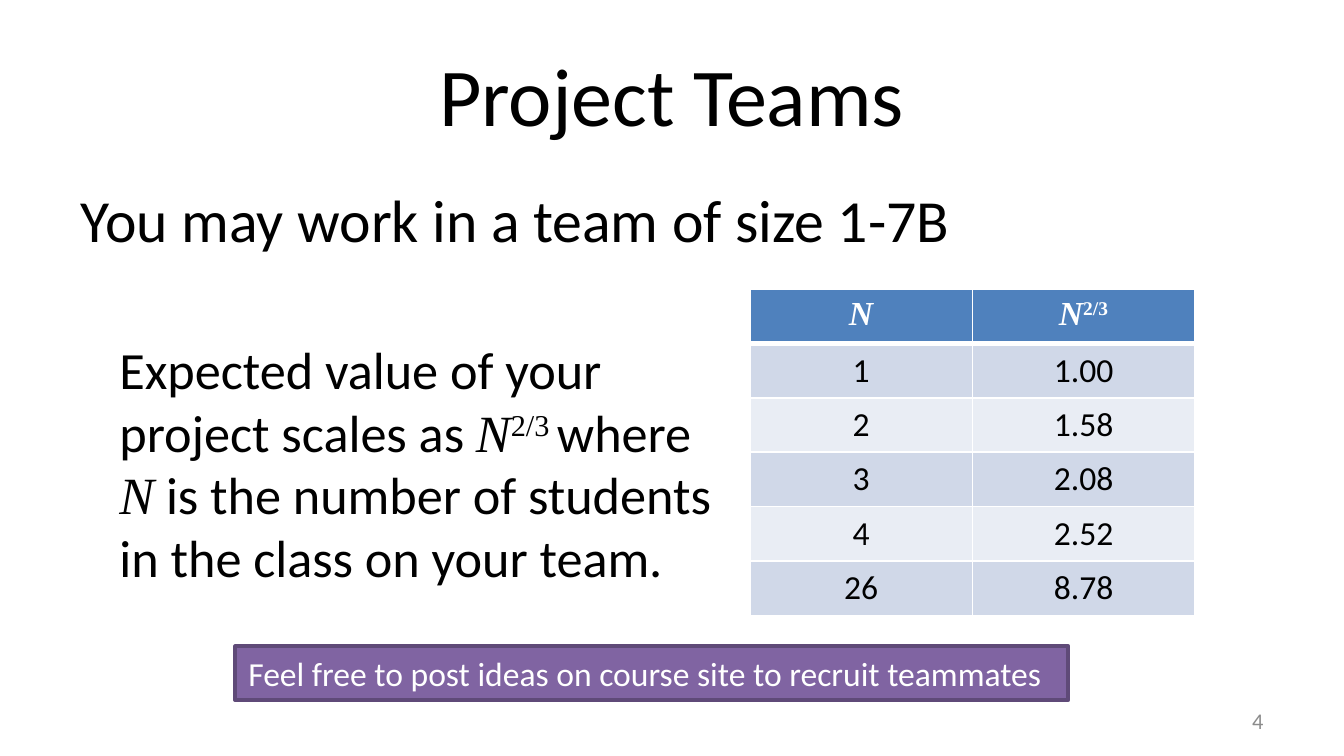
from dataclasses import dataclass

from lxml import etree
from pptx import Presentation
from pptx.dml.color import RGBColor
from pptx.enum import shapes, text
from pptx.oxml import ns
from pptx.util import Inches, Pt


@dataclass(frozen=True)
class Theme:
    sans: str = "Calibri"
    serif: str = "Times New Roman"
    black: str = "000000"
    white: str = "FFFFFF"
    gray: str = "8C8C8C"
    head: str = "4F81BD"
    bands: tuple = ("D0D8E8", "E9EDF4")
    note: str = "8064A2"
    edge: str = "5F4A78"
    title: int = 44
    lead: int = 32
    prose: int = 28
    small: int = 18
    page: int = 12


T = Theme()
LEFT, MID, RIGHT = text.PP_ALIGN.LEFT, text.PP_ALIGN.CENTER, text.PP_ALIGN.RIGHT
POWER = [("N", "var"), ("2/3", "sup")]


def color(code):
    return RGBColor.from_string(code)


def place(shape, left, top, width, height):
    shape.left, shape.top = Inches(left), Inches(top)
    shape.width, shape.height = Inches(width), Inches(height)


def style(para, size, ink=T.black, align=LEFT, bold=False):
    para.alignment = align
    para.space_before = Pt(0)
    font = para.font
    font.name, font.size, font.bold = T.sans, Pt(size), bold
    font.color.rgb = color(ink)


def write(para, parts):
    """Add runs; "var" is an italic variable, "sup" a raised exponent."""
    for words, kind in parts:
        run = para.add_run()
        run.text = words
        if kind != "plain":
            run.font.name = T.serif
        if kind == "var":
            run.font.italic = True
        if kind == "sup":
            run._r.get_or_add_rPr().set("baseline", "30000")


def fill_title(slide):
    title = slide.shapes.title
    place(title, 0.5, 0.23, 9, 0.94)
    title.text_frame.vertical_anchor = text.MSO_ANCHOR.MIDDLE
    title.text_frame.text = "Project Teams"
    style(title.text_frame.paragraphs[0], T.title, align=MID)


def fill_body(slide):
    body = slide.placeholders[1]
    place(body, 0.5, 1.31, 9, 3.71)
    body.text_frame.text = "You may work in a team of size 1-7B"
    para = body.text_frame.paragraphs[0]
    props = para._p.get_or_add_pPr()
    props.set("marL", "0")
    props.set("indent", "0")
    etree.SubElement(props, ns.qn("a:buNone"))
    style(para, T.lead)


def add_text(slide, box, parts, size, ink=T.black, align=LEFT,
             anchor=text.MSO_ANCHOR.TOP):
    shape = slide.shapes.add_textbox(*map(Inches, box))
    frame = shape.text_frame
    frame.word_wrap = True
    frame.vertical_anchor = anchor
    write(frame.paragraphs[0], parts)
    style(frame.paragraphs[0], size, ink, align)


def add_note(slide, box, words):
    shape = slide.shapes.add_shape(shapes.MSO_SHAPE.RECTANGLE, *map(Inches, box))
    shape.shadow.inherit = False
    shape.fill.solid()
    shape.fill.fore_color.rgb = color(T.note)
    shape.line.color.rgb = color(T.edge)
    shape.line.width = Pt(2)
    frame = shape.text_frame
    frame.word_wrap = True
    frame.text = words
    style(frame.paragraphs[0], T.small, T.white)


def add_rule(cell, side, width):
    line = etree.SubElement(cell._tc.get_or_add_tcPr(), ns.qn(f"a:ln{side}"),
                            w=str(Pt(width)))
    paint = etree.SubElement(line, ns.qn("a:solidFill"))
    etree.SubElement(paint, ns.qn("a:srgbClr"), val=T.white)


def fill_cell(cell, parts, row):
    # Borders go before the fill in the cell's properties
    for side in "LRTB":
        thick = (row, side) in ((0, "B"), (1, "T"))
        add_rule(cell, side, 3 if thick else 1)
    cell.fill.solid()
    cell.fill.fore_color.rgb = color(T.bands[(row - 1) % 2] if row else T.head)
    para = cell.text_frame.paragraphs[0]
    write(para, parts)
    style(para, T.small, T.black if row else T.white, MID, bold=row == 0)


def add_grid(slide, box, rows):
    grid = slide.shapes.add_table(len(rows), len(rows[0]),
                                  *map(Inches, box)).table
    for r, row in enumerate(rows):
        for c, parts in enumerate(row):
            fill_cell(grid.cell(r, c), parts, r)


def main():
    deck = Presentation()
    # Widescreen, 16 by 9
    deck.slide_width, deck.slide_height = Inches(10), Inches(10 * 9 / 16)
    slide = deck.slides.add_slide(deck.slide_layouts[1])

    # Heading and lead line
    fill_title(slide)
    fill_body(slide)

    # Slide number
    add_text(slide, (7.17, 5.21, 2.33, 0.3), [("4", "plain")], T.page, T.gray,
             RIGHT, text.MSO_ANCHOR.MIDDLE)

    # Team size against expected value
    values = [("1", "1.00"), ("2", "1.58"), ("3", "2.08"), ("4", "2.52"),
              ("26", "8.78")]
    rows = [[[("N", "var")], POWER]]
    rows += [[[(value, "plain")] for value in pair] for pair in values]
    add_grid(slide, (5.58, 2.15, 3.31, 2.43), rows)

    # Scaling rule
    add_text(slide, (0.79, 2.46, 4.79, 1.99), [
        ("Expected value of your project scales as ", "plain"),
        ("N", "var"), ("2/3 ", "sup"), ("where ", "plain"), ("N", "var"),
        (" is the number of students in the class on your team.", "plain"),
    ], T.prose)

    # Recruiting note
    add_note(slide, (1.75, 4.81, 6.2, 0.4),
             "Feel free to post ideas on course site to recruit teammates")

    deck.save("out.pptx")


if __name__ == "__main__":
    main()
